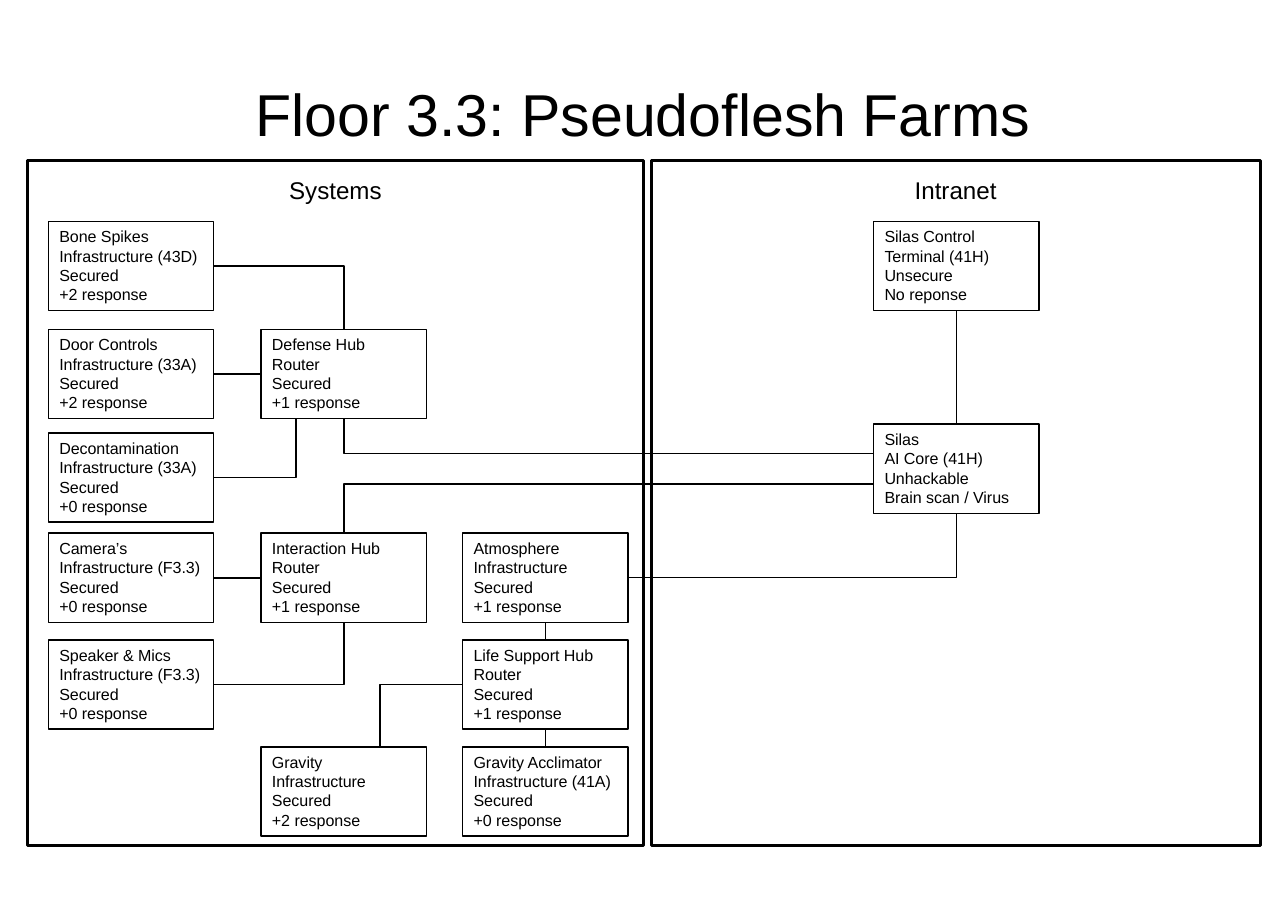
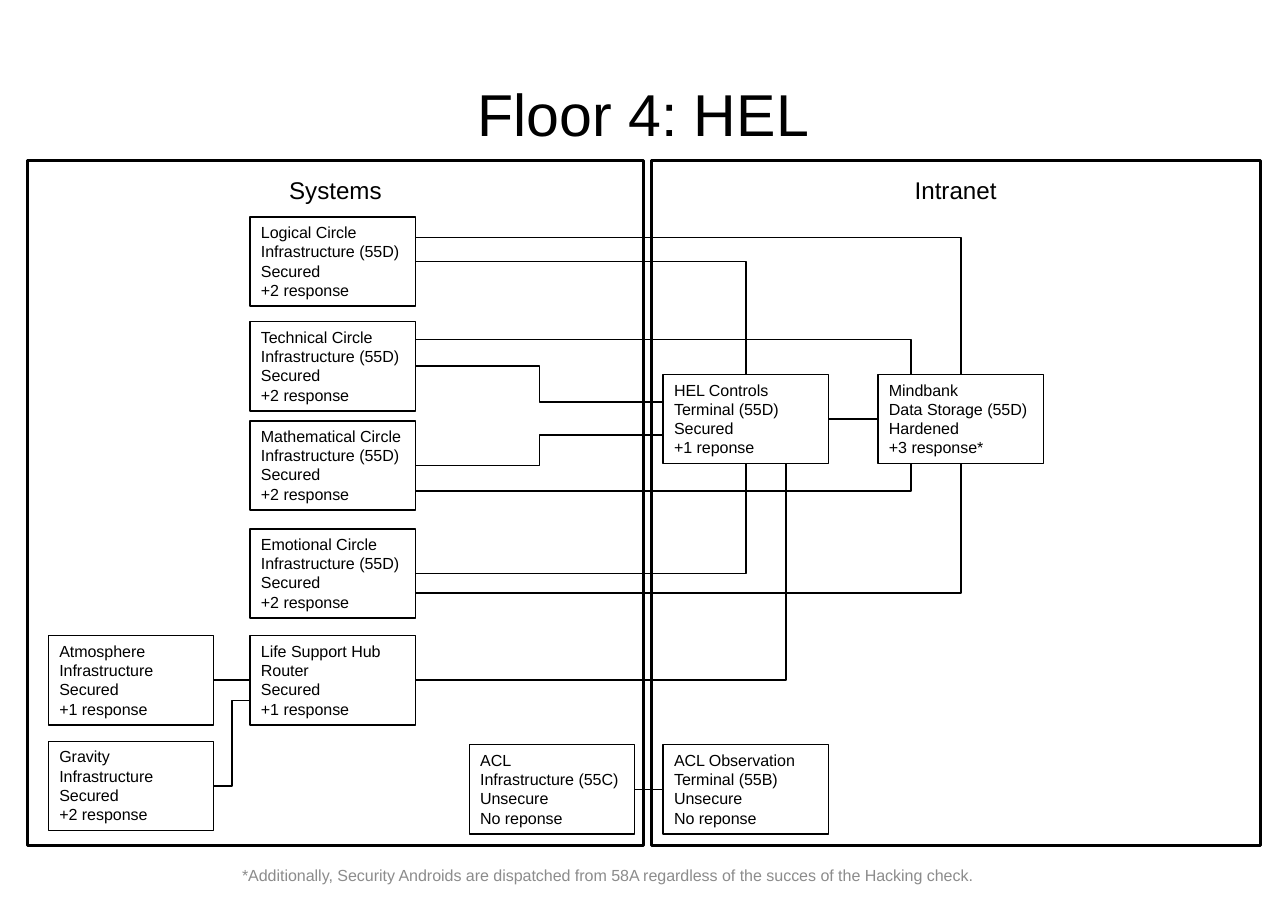
import pptx
import pptx.dml.color
import pptx.enum.shapes
import pptx.enum.text
import pptx.util
import lxml.etree
from collections import namedtuple

BLACK = pptx.dml.color.RGBColor(0x00, 0x00, 0x00)
WHITE = pptx.dml.color.RGBColor(0xFF, 0xFF, 0xFF)
GREY = pptx.dml.color.RGBColor(0x8C, 0x8C, 0x8C)
FONT = "Arial"
TITLE_SIZE, HEADING_SIZE, NODE_SIZE = 38.6, 15.8, 10.5
NODE_LEADING = 12.6

ALIGN = pptx.enum.text.PP_ALIGN
ANCHOR = pptx.enum.text.MSO_ANCHOR
CONNECTOR = pptx.enum.shapes.MSO_CONNECTOR
RECTANGLE = pptx.enum.shapes.MSO_SHAPE.RECTANGLE
DRAWING_NS = "{http://schemas.openxmlformats.org/drawingml/2006/main}"

Box = namedtuple("Box", "left top width height")
Floor = namedtuple("Floor", "title nodes links bends footnote")

CELL = 0.1
SLIDE_COLUMNS, SLIDE_ROWS = 116.9, 82.7
TITLE = Box(5.8, 3.3, 105.2, 13.8)
MAP = Box(2.5, 14.6, 111.9, 62.2)
FOOTNOTE = Box(18.3, 78.4, 73.8, 2)
SYSTEMS_WIDTH, INTRANET_WIDTH = 55.9, 55.3
HEADING_INSET, HEADING_DROP, HEADING_HEIGHT = 2, 0.8, 3.7
NODE_WIDTH, NODE_HEIGHT = 15, 8.1
TOP, LEFT, BOTTOM, RIGHT = range(4)

FLOORS = [
    Floor(
        title="Floor 3.3: Pseudoflesh Farms",
        nodes={
            "spikes": (1.9, 5.5, ["Bone Spikes", "Infrastructure (43D)", "Secured", "+2 response"]),
            "doors": (1.9, 15.3, ["Door Controls", "Infrastructure (33A)", "Secured", "+2 response"]),
            "decontamination": (1.9, 24.7, ["Decontamination", "Infrastructure (33A) Secured", "+0 response"]),
            "cameras": (1.9, 33.8, ["Camera’s", "Infrastructure (F3.3)", "Secured", "+0 response"]),
            "speakers": (1.9, 43.5, ["Speaker & Mics Infrastructure (F3.3)", "Secured", "+0 response"]),
            "defense": (21.2, 15.3, ["Defense Hub", "Router", "Secured", "+1 response"]),
            "interaction": (21.2, 33.8, ["Interaction Hub", "Router", "Secured", "+1 response"]),
            "gravity": (21.2, 53.2, ["Gravity", "Infrastructure", "Secured", "+2 response"]),
            "atmosphere": (39.5, 33.8, ["Atmosphere", "Infrastructure", "Secured", "+1 response"]),
            "life support": (39.5, 43.5, ["Life Support Hub", "Router", "Secured", "+1 response"]),
            "acclimator": (39.5, 53.2, ["Gravity Acclimator", "Infrastructure (41A)", "Secured", "+0 response"]),
            "silas control": (76.8, 5.5, ["Silas Control", "Terminal (41H)", "Unsecure", "No reponse"]),
            "silas": (76.8, 23.9, ["Silas", "AI Core (41H)", "Unhackable", "Brain scan / Virus"]),
        },
        links=[
            ("doors", RIGHT, "defense", LEFT),
            ("cameras", RIGHT, "interaction", LEFT),
            ("silas control", BOTTOM, "silas", TOP),
            ("atmosphere", BOTTOM, "life support", TOP),
            ("life support", BOTTOM, "acclimator", TOP),
        ],
        bends=[
            ("spikes", (1, 0.5), "defense", (0.5, 0), 1),
            ("decontamination", (1, 0.5), "defense", (0.21, 1), 1),
            ("defense", (0.5, 1), "silas", (0, 0.33), 0),
            ("interaction", (0.5, 0), "silas", (0, 0.67), 0),
            ("speakers", (1, 0.5), "interaction", (0.5, 1), 1),
            ("gravity", (0.72, 0), "life support", (0, 0.5), 0),
            ("atmosphere", (1, 0.5), "silas", (0.5, 1), 1),
        ],
        footnote=None,
    ),
    Floor(
        title="Floor 4: HEL",
        nodes={
            "logical": (20.2, 5.1, ["Logical Circle", "Infrastructure (55D)", "Secured", "+2 response"]),
            "technical": (20.2, 14.6, ["Technical Circle", "Infrastructure (55D)", "Secured", "+2 response"]),
            "mathematical": (20.2, 23.6, ["Mathematical Circle", "Infrastructure (55D)", "Secured", "+2 response"]),
            "emotional": (20.2, 33.4, ["Emotional Circle", "Infrastructure (55D)", "Secured", "+2 response"]),
            "life support": (20.2, 43.1, ["Life Support Hub", "Router", "Secured", "+1 response"]),
            "atmosphere": (1.9, 43.1, ["Atmosphere", "Infrastructure", "Secured", "+1 response"]),
            "gravity": (1.9, 52.7, ["Gravity", "Infrastructure", "Secured", "+2 response"]),
            "acl": (40.1, 53, ["ACL", "Infrastructure (55C)", "Unsecure", "No reponse"]),
            "observation": (57.7, 53, ["ACL Observation Terminal (55B)", "Unsecure", "No reponse"]),
            "controls": (57.7, 19.4, ["HEL Controls", "Terminal (55D)", "Secured", "+1 reponse"]),
            "mindbank": (77.2, 19.4, ["Mindbank", "Data Storage (55D)", "Hardened", "+3 response*"]),
        },
        links=[
            ("controls", RIGHT, "mindbank", LEFT),
            ("acl", RIGHT, "observation", LEFT),
            ("atmosphere", RIGHT, "life support", LEFT),
        ],
        bends=[
            ("logical", (1, 0.5), "controls", (0.5, 0), 1),
            ("emotional", (1, 0.5), "controls", (0.5, 1), 1),
            ("logical", (1, 0.23), "mindbank", (0.5, 0), 1),
            ("emotional", (1, 0.72), "mindbank", (0.5, 1), 1),
            ("technical", (1, 0.5), "controls", (0, 0.31), 0.5),
            ("mathematical", (1, 0.5), "controls", (0, 0.68), 0.5),
            ("technical", (1, 0.2), "mindbank", (0.2, 0), 1),
            ("mathematical", (1, 0.79), "mindbank", (0.2, 1), 1),
            ("gravity", (1, 0.5), "life support", (0, 0.73), 0.5),
            ("life support", (1, 0.5), "controls", (0.31, 1), 1.24),
        ],
        footnote="*Additionally, Security Androids are dispatched from 58A "
                 "regardless of the succes of the Hacking check.",
    ),
]


def cells(count):
    return pptx.util.Inches(count * CELL)


def write(shape, lines, size, color=BLACK, align=ALIGN.CENTER, anchor=ANCHOR.TOP, leading=None):
    frame = shape.text_frame
    frame.word_wrap = True
    frame.vertical_anchor = anchor
    for index, line in enumerate(lines):
        paragraph = frame.add_paragraph() if index else frame.paragraphs[0]
        paragraph.alignment = align
        if leading:
            paragraph.line_spacing = pptx.util.Pt(leading)
        run = paragraph.add_run()
        run.text = line
        run.font.name = FONT
        run.font.size = pptx.util.Pt(size)
        run.font.color.rgb = color


def add_label(slide, box, text, size, **text_format):
    label = slide.shapes.add_textbox(*map(cells, box))
    write(label, [text], size, **text_format)


def add_frame(slide, box, line_width, fill=None):
    frame = slide.shapes.add_shape(RECTANGLE, *map(cells, box))
    frame.shadow.inherit = False
    if fill is None:
        frame.fill.background()
    else:
        frame.fill.solid()
        frame.fill.fore_color.rgb = fill
    frame.line.color.rgb = BLACK
    frame.line.width = pptx.util.Pt(line_width)
    return frame


def add_panel(slide, box, heading):
    add_frame(slide, box, 2, fill=WHITE)
    heading_box = Box(box.left + HEADING_INSET, box.top + HEADING_DROP,
                      box.width - 2 * HEADING_INSET, HEADING_HEIGHT)
    add_label(slide, heading_box, heading, HEADING_SIZE)


def add_node(slide, area, column, row, lines):
    box = Box(area.left + column, area.top + row, NODE_WIDTH, NODE_HEIGHT)
    node = add_frame(slide, box, 1)
    write(node, lines, NODE_SIZE, align=ALIGN.LEFT, leading=NODE_LEADING)
    return node


def point_on(node, share):
    return (round(node.left + node.width * share[0]),
            round(node.top + node.height * share[1]))


def add_wire(slide, kind, start, end):
    wire = slide.shapes.add_connector(kind, *start, *end)
    wire.line.color.rgb = BLACK
    wire.line.width = pptx.util.Pt(1)
    lxml.etree.SubElement(wire._element.spPr, DRAWING_NS + "effectLst")
    return wire


def add_link(slide, source, source_side, target, target_side):
    wire = add_wire(slide, CONNECTOR.STRAIGHT, (0, 0), (0, 0))
    wire.begin_connect(source, source_side)
    wire.end_connect(target, target_side)


def add_bend(slide, start, end, turn):
    wire = add_wire(slide, CONNECTOR.ELBOW, start, end)
    geometry = wire._element.spPr.find(DRAWING_NS + "prstGeom")
    guides = geometry.find(DRAWING_NS + "avLst")
    if guides is None:
        guides = lxml.etree.SubElement(geometry, DRAWING_NS + "avLst")
    lxml.etree.SubElement(guides, DRAWING_NS + "gd", name="adj1",
                          fmla=f"val {round(turn * 100000)}")


def add_network(slide, area, floor):
    add_panel(slide, area._replace(left=area.left + area.width - INTRANET_WIDTH,
                                   width=INTRANET_WIDTH), "Intranet")
    add_panel(slide, area._replace(width=SYSTEMS_WIDTH), "Systems")
    nodes = {key: add_node(slide, area, *place) for key, place in floor.nodes.items()}
    for source, source_side, target, target_side in floor.links:
        add_link(slide, nodes[source], source_side, nodes[target], target_side)
    for source, source_share, target, target_share, turn in floor.bends:
        add_bend(slide, point_on(nodes[source], source_share),
                 point_on(nodes[target], target_share), turn)


def add_floor(deck, floor):
    slide = deck.slides.add_slide(deck.slide_layouts[6])
    add_label(slide, TITLE, floor.title, TITLE_SIZE, anchor=ANCHOR.MIDDLE)
    add_network(slide, MAP, floor)
    if floor.footnote:
        add_label(slide, FOOTNOTE, floor.footnote, NODE_SIZE, color=GREY, anchor=ANCHOR.MIDDLE)


def main():
    deck = pptx.Presentation()
    deck.slide_width = cells(SLIDE_COLUMNS)
    deck.slide_height = cells(SLIDE_ROWS)
    for floor in FLOORS:
        add_floor(deck, floor)
    deck.save("out.pptx")


if __name__ == "__main__":
    main()
